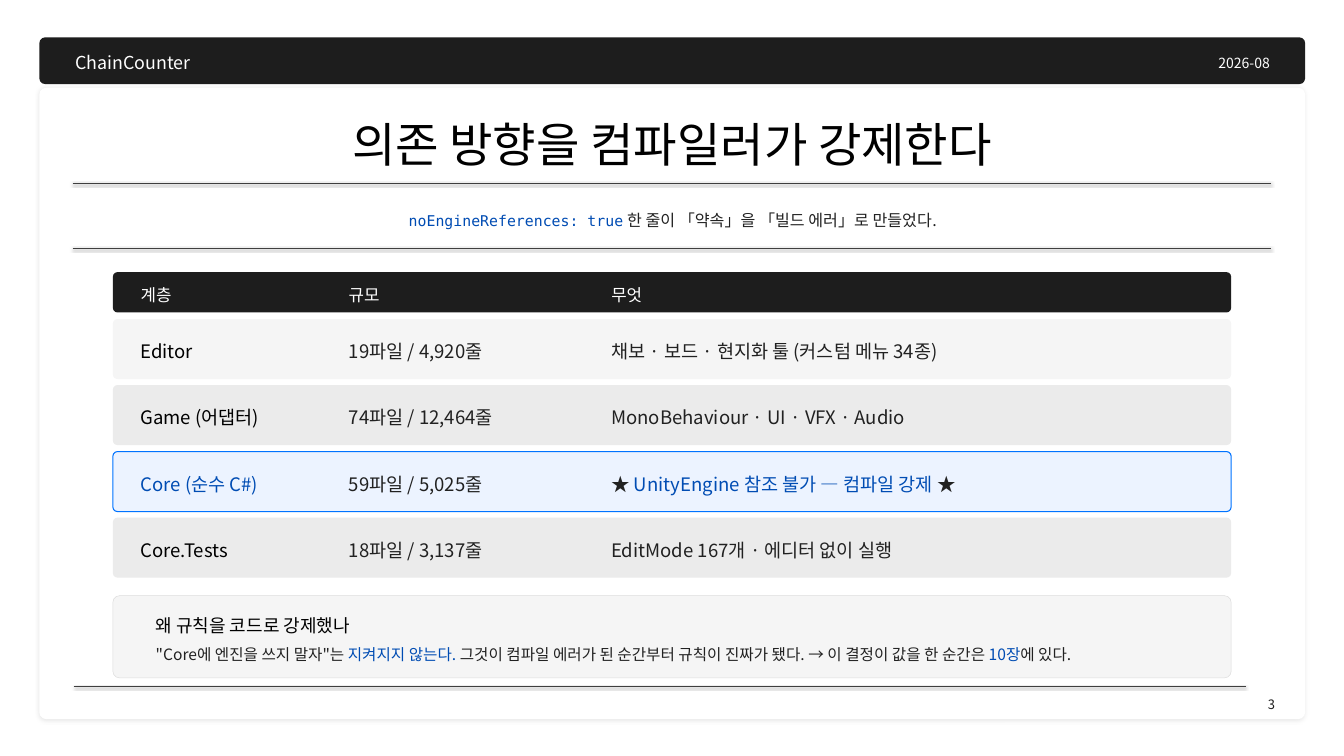
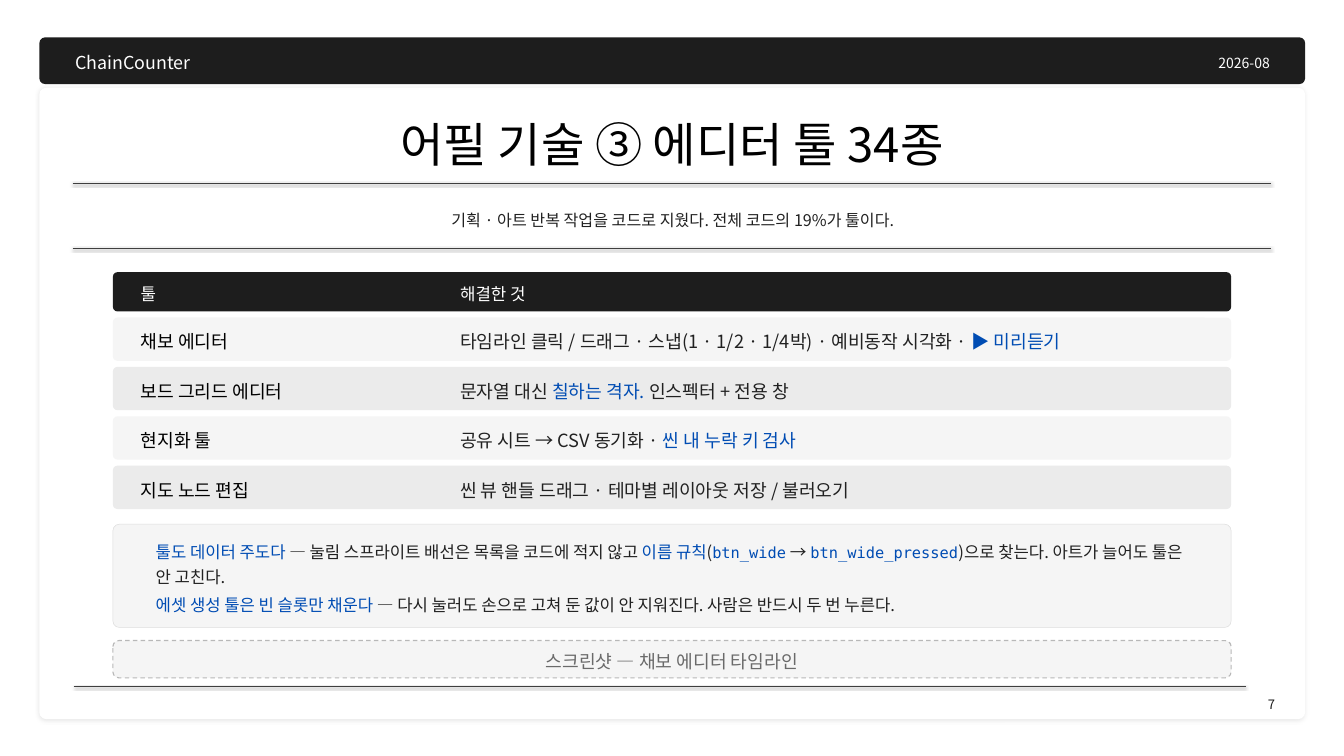
"""Build two slides on layered code and editor tools."""
from dataclasses import dataclass
from typing import NamedTuple, Optional, Sequence, Union

from lxml import etree
from pptx import Presentation
from pptx.dml.color import RGBColor
from pptx.enum.dml import MSO_LINE
from pptx.enum.shapes import MSO_CONNECTOR, MSO_SHAPE
from pptx.enum.text import MSO_ANCHOR, MSO_AUTO_SIZE, PP_ALIGN
from pptx.oxml.ns import qn
from pptx.util import Emu, Pt

ROUND = MSO_SHAPE.ROUNDED_RECTANGLE
STRAIGHT = MSO_CONNECTOR.STRAIGHT
DASH = MSO_LINE.DASH
TOP, MIDDLE = MSO_ANCHOR.TOP, MSO_ANCHOR.MIDDLE
LEFT, CENTER, RIGHT = PP_ALIGN.LEFT, PP_ALIGN.CENTER, PP_ALIGN.RIGHT
GROW, FIXED = MSO_AUTO_SIZE.SHAPE_TO_FIT_TEXT, MSO_AUTO_SIZE.NONE
PX = 9144


@dataclass(frozen=True)
class Theme:
    """Colours, fonts and type sizes."""
    sans: str = "Noto Sans CJK KR"
    mono: str = "DejaVu Sans Mono"
    white: str = "FFFFFF"
    black: str = "000000"
    bar: str = "1D1D1D"
    text: str = "212121"
    accent: str = "004CB3"
    rule: str = "3F3F3F"
    pale: str = "F5F5F5"
    grey: str = "EBEBEB"
    edge: str = "DDDDDD"
    glow: str = "ECF3FF"
    ring: str = "0073FF"
    dash: str = "B8B8B8"
    mute: str = "6A6A6A"
    brand: float = 25.5
    date: float = 20
    page: float = 18.5
    title: float = 67.5
    lead: float = 23
    head: float = 24
    slot: float = 26
    code: float = 0.92


T = Theme()


class Box(NamedTuple):
    """A place and size in px."""
    left: int
    top: int
    wide: int
    high: int


class Shade(NamedTuple):
    """A soft shadow that falls downwards."""
    alpha: int
    blur: float
    dist: float


class Bit(NamedTuple):
    """A run of accent text, in code type if mono."""
    text: str
    mono: bool = False


Piece = Union[str, Bit]


class Para(NamedTuple):
    """A paragraph; empty fields fall back to the format of its box."""
    bits: Sequence[Piece]
    size: Optional[float] = None
    color: Optional[str] = None
    before: float = 0
    after: float = 0


class Row(NamedTuple):
    """One grid row."""
    cells: Sequence[Sequence[Piece]]
    hot: bool = False


@dataclass(frozen=True)
class Grid:
    """A header bar and evenly spread rows."""
    lefts: Sequence[int]
    heads: Sequence[str]
    rows: Sequence[Row]
    bar: int
    top: int
    end: int
    high: int
    size: float


@dataclass(frozen=True)
class Note:
    """A framed remark."""
    box: Box
    pad: int
    paras: Sequence[Para]
    size: float
    lead: float


@dataclass(frozen=True)
class Page:
    """All that differs between slides."""
    number: str
    title: str
    lead: Sequence[Piece]
    grid: Grid
    note: Note
    slot: str = ""


PANEL = Shade(9, 6, 2)
LINE = Shade(38, 3.1, 1.6)
EDGE, WIDE, INSET, GAP, CELL_END = 224, 2219, 6, 100, 2398


def rgb(code: str) -> RGBColor:
    """Turn a hex code into a colour."""
    return RGBColor.from_string(code)


def place(box: Box) -> list[Emu]:
    """Turn a box into EMU."""
    return [Emu(n * PX) for n in box]


def shade(props, drop: Optional[Shade]) -> None:
    """Set the effects of a shape to one shadow or none."""
    tag = qn("a:effectLst")
    root = props.find(tag)
    if root is None:
        root = etree.SubElement(props, tag)
    if drop:
        outer = etree.SubElement(root, qn("a:outerShdw"), blurRad=str(Pt(drop.blur)),
                                 dist=str(Pt(drop.dist)), dir="5400000",
                                 algn="ctr", rotWithShape="0")
        color = etree.SubElement(outer, qn("a:srgbClr"), val=T.black)
        etree.SubElement(color, qn("a:alpha"), val=str(drop.alpha * 1000))


def write(frame, paras: Sequence[Para], *, size: float, color: str = T.text,
          align=LEFT, anchor=MIDDLE, lead: float = 1.22, pad: int = 0, fit=GROW) -> None:
    """Fill a text frame with formatted paragraphs."""
    frame.word_wrap, frame.auto_size, frame.vertical_anchor = True, fit, anchor
    frame.margin_left = frame.margin_right = Emu(pad * PX)
    frame.margin_top = frame.margin_bottom = 0
    for i, para in enumerate(paras):
        line = frame.add_paragraph() if i else frame.paragraphs[0]
        line.alignment, line.line_spacing = align, lead
        line.space_before, line.space_after = Pt(para.before), Pt(para.after)
        for piece in para.bits:
            hot = isinstance(piece, Bit)
            mono = hot and piece.mono
            run = line.add_run()
            run.text = piece.text if hot else piece
            font = run.font
            points = para.size or size
            font.size = Pt(round(points * T.code, 1) if mono else points)
            font.name = T.mono if mono else T.sans
            font.color.rgb = rgb(T.accent if hot else para.color or color)
            etree.SubElement(font._element, qn("a:ea"), typeface=font.name)


def label(slide, box: Box, bits: Sequence[Piece], **form) -> None:
    """Add a text box of one paragraph."""
    write(slide.shapes.add_textbox(*place(box)).text_frame, [Para(bits)], **form)


def card(slide, box: Box, fill: str, radius: int = 9, edge: str = "",
         width: float = 0, drop: Optional[Shade] = None):
    """Add a rounded box."""
    shape = slide.shapes.add_shape(ROUND, *place(box))
    shape.adjustments[0] = radius / box.high
    shape.shadow.inherit = False
    shape.fill.solid()
    shape.fill.fore_color.rgb = rgb(fill)
    if edge:
        shape.line.color.rgb = rgb(edge)
        shape.line.width = Pt(width)
    else:
        shape.line.fill.background()
    shade(shape._element.spPr, drop)
    return shape


def rule(slide, left: int, right: int, top: int, width: float = 1.25) -> None:
    """Add a level line with a shadow."""
    line = slide.shapes.add_connector(STRAIGHT, *place(Box(left, top, right, top)))
    line.line.color.rgb = rgb(T.rule)
    line.line.width = Pt(width)
    shade(line._element.spPr, LINE)


def frame(slide, page: Page) -> None:
    """Draw the panel, bands, title and footer."""
    card(slide, Box(78, 174, 2512, 1253), T.white, 14, drop=PANEL)
    card(slide, Box(78, 74, 2512, 93), T.bar, 12)
    label(slide, Box(149, 94, 600, 55), ["ChainCounter"], size=T.brand,
          color=T.white, anchor=TOP)
    label(slide, Box(1890, 100, 630, 45), ["2026-08"], size=T.date,
          color=T.white, align=RIGHT, anchor=TOP)
    rule(slide, 146, 2472, 1362, 1.1)
    label(slide, Box(1940, 1375, 590, 45), [page.number], size=T.page,
          color=T.bar, align=RIGHT, anchor=TOP)
    label(slide, Box(421, 206, 1825, 135), [page.title], size=T.title,
          color=T.black, align=CENTER)
    rule(slide, 144, 2523, 364)
    label(slide, Box(260, 402, 2150, 62), page.lead, size=T.lead, align=CENTER)
    rule(slide, 144, 2523, 493)


def table(slide, grid: Grid) -> None:
    """Draw the header bar and the rows."""
    ends = [left - GAP for left in grid.lefts[1:]] + [CELL_END]
    spans = [(left, end - left) for left, end in zip(grid.lefts, ends)]
    card(slide, Box(EDGE, 540, WIDE, grid.bar), T.bar)
    for (left, wide), head in zip(spans, grid.heads):
        label(slide, Box(left, 540, wide, grid.bar), [head], size=T.head, color=T.white)
    step = (grid.end - grid.top - grid.high) / (len(grid.rows) - 1)
    for i, row in enumerate(grid.rows):
        top = round(grid.top + i * step)
        box = Box(EDGE, top, WIDE, grid.high)
        if row.hot:
            card(slide, box, T.glow, edge=T.ring, width=1.5)
        else:
            card(slide, box, T.grey if i % 2 else T.pale)
        for j, ((left, wide), bits) in enumerate(zip(spans, row.cells)):
            label(slide, Box(left, top + INSET, wide, grid.high - 2 * INSET), bits,
                  size=grid.size, color=T.text if j else T.black)


def remark(slide, note: Note) -> None:
    """Draw the framed remark."""
    box = note.box
    card(slide, box, T.pale, 13, T.edge, 0.75)
    area = Box(309, box.top + note.pad, 2049, box.high - 2 * note.pad)
    write(slide.shapes.add_textbox(*place(area)).text_frame, note.paras,
          size=note.size, lead=note.lead)


def build(deck, page: Page) -> None:
    """Add one slide."""
    slide = deck.slides.add_slide(deck.slide_layouts[6])
    slide.background.fill.solid()
    slide.background.fill.fore_color.rgb = rgb(T.white)
    frame(slide, page)
    table(slide, page.grid)
    remark(slide, page.note)
    if page.slot:
        shape = card(slide, Box(EDGE, 1271, WIDE, 74), T.pale, 12, T.dash, 1.6)
        shape.line.dash_style = DASH
        write(shape.text_frame, [Para([page.slot])], size=T.slot, color=T.mute,
              align=CENTER, lead=1.15, pad=18, fit=FIXED)


LAYERS = Grid((279, 692, 1213), ("계층", "규모", "무엇"), (
    Row((["Editor"], ["19파일 / 4,920줄"], ["채보 · 보드 · 현지화 툴 (커스텀 메뉴 34종)"])),
    Row((["Game (어댑터)"], ["74파일 / 12,464줄"], ["MonoBehaviour · UI · VFX · Audio"])),
    Row(([Bit("Core (순수 C#)")], ["59파일 / 5,025줄"],
         ["★ ", Bit("UnityEngine 참조 불가 — 컴파일 강제"), " ★"]), hot=True),
    Row((["Core.Tests"], ["18파일 / 3,137줄"], ["EditMode 167개 · 에디터 없이 실행"])),
), bar=80, top=633, end=1146, high=119, size=26.5)

TOOLS = Grid((279, 913), ("툴", "해결한 것"), (
    Row((["채보 에디터"], ["타임라인 클릭 / 드래그 · 스냅(1 · 1/2 · 1/4박) · 예비동작 시각화 · ",
                      Bit("▶ 미리듣기")])),
    Row((["보드 그리드 에디터"], ["문자열 대신 ", Bit("칠하는 격자."), " 인스펙터 + 전용 창"])),
    Row((["현지화 툴"], ["공유 시트 → CSV 동기화 · ", Bit("씬 내 누락 키 검사")])),
    Row((["지도 노드 편집"], ["씬 뷰 핸들 드래그 · 테마별 레이아웃 저장 / 불러오기"])),
), bar=78, top=630, end=1010, high=86, size=26)

REASON = Note(Box(EDGE, 1182, WIDE, 163), 22, (
    Para(["왜 규칙을 코드로 강제했나"], 25.7, T.black),
    Para(["\"Core에 엔진을 쓰지 말자\"는 ", Bit("지켜지지 않는다."),
          " 그것이 컴파일 에러가 된 순간부터 규칙이 진짜가 됐다. → 이 결정이 값을 한 순간은 ",
          Bit("10장"), "에 있다."], before=7.7),
), 22.3, 1.22)

DRIVEN = Note(Box(EDGE, 1040, WIDE, 205), 18, (
    Para([Bit("툴도 데이터 주도다"), " — 눌림 스프라이트 배선은 목록을 코드에 적지 않고 ",
          Bit("이름 규칙"), "(", Bit("btn_wide", True), " → ", Bit("btn_wide_pressed", True),
          ")으로 찾는다. 아트가 늘어도 툴은 안 고친다."], after=4.8),
    Para([Bit("에셋 생성 툴은 빈 슬롯만 채운다"),
          " — 다시 눌러도 손으로 고쳐 둔 값이 안 지워진다. 사람은 반드시 두 번 누른다."], after=4.8),
), 23.8, 1.26)

PAGES = (
    Page("3", "의존 방향을 컴파일러가 강제한다",
         [Bit("noEngineReferences: true", True), " 한 줄이 「약속」을 「빌드 에러」로 만들었다."],
         LAYERS, REASON),
    Page("7", "어필 기술 ③ 에디터 툴 34종",
         ["기획 · 아트 반복 작업을 코드로 지웠다. 전체 코드의 19%가 툴이다."],
         TOOLS, DRIVEN, "스크린샷 — 채보 에디터 타임라인"),
)


def main() -> None:
    """Build and save the deck."""
    deck = Presentation()
    deck.slide_width, deck.slide_height = Emu(2667 * PX), Emu(1500 * PX)
    for page in PAGES:
        build(deck, page)
    deck.save("out.pptx")


if __name__ == "__main__":
    main()
